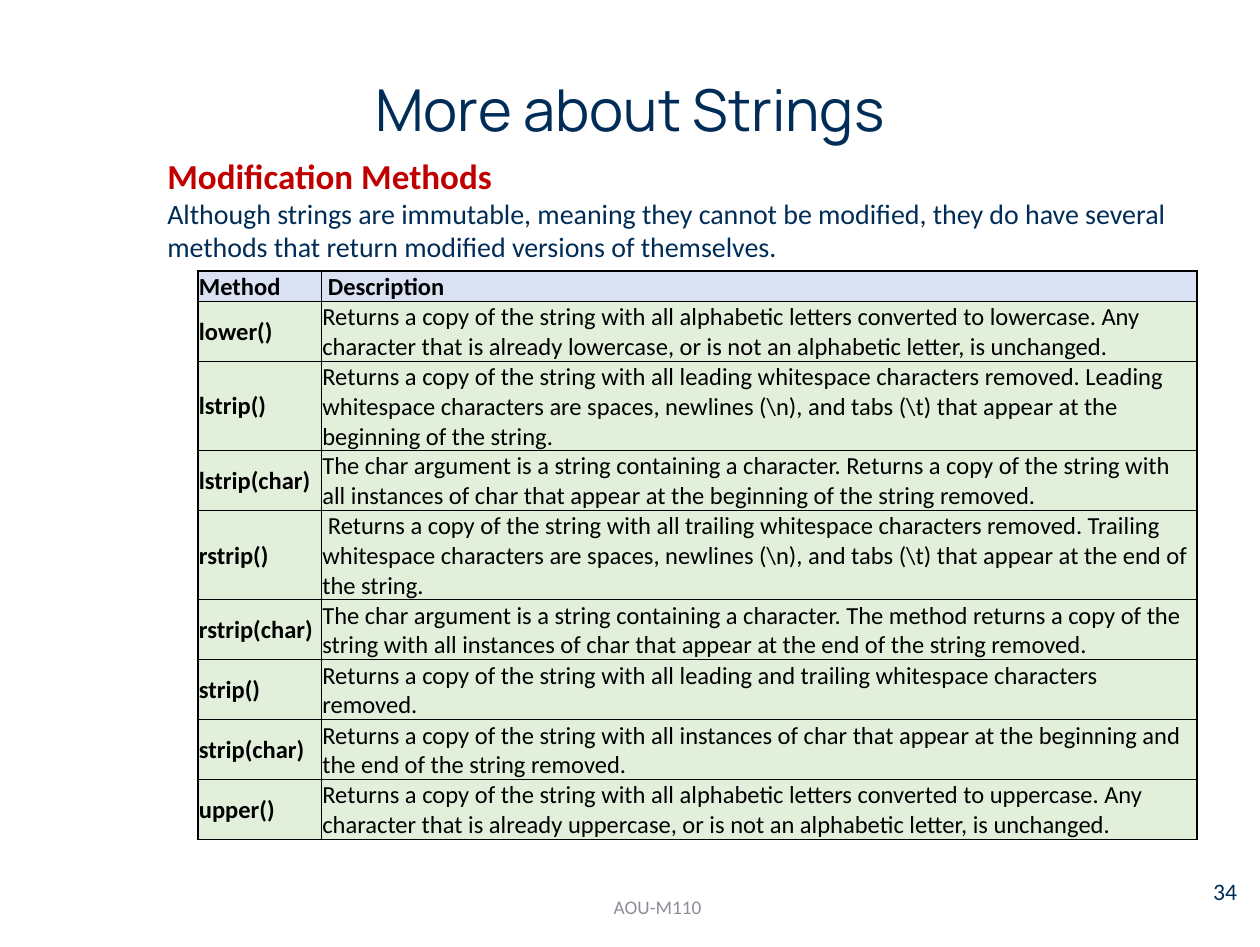
import dataclasses

import lxml.etree
import pptx
import pptx.dml.color
import pptx.enum.text
import pptx.oxml.ns
import pptx.util

Inches = pptx.util.Inches
Align = pptx.enum.text.PP_ALIGN
Anchor = pptx.enum.text.MSO_ANCHOR


@dataclasses.dataclass(frozen=True)
class Theme:
    title_font: str = "Manrope"
    body_font: str = "Calibri"
    navy: str = "002D58"
    red: str = "C00000"
    grey: str = "8C8F9A"
    black: str = "000000"
    header_fill: str = "D9E1F2"
    row_fill: str = "E2EFDA"
    title_size: float = 33
    heading_size: float = 20
    intro_size: float = 16
    table_size: float = 14
    number_size: float = 13.5
    footer_size: float = 11
    outer_line: float = 1
    inner_line: float = 0.5
    cell_margin: float = 0.6


METHODS = [
    ("Method", " Description"),
    ("lower()", "Returns a copy of the string with all alphabetic letters converted to lowercase. "
     "Any character that is already lowercase, or is not an alphabetic letter, is unchanged."),
    ("lstrip()", "Returns a copy of the string with all leading whitespace characters removed. "
     "Leading whitespace characters are spaces, newlines (\\n), and tabs (\\t) that appear "
     "at the beginning of the string."),
    ("lstrip(char)", "The char argument is a string containing a character. Returns a copy of "
     "the string with all instances of char that appear at the beginning of the string removed."),
    ("rstrip()", " Returns a copy of the string with all trailing whitespace characters removed. "
     "Trailing whitespace characters are spaces, newlines (\\n), and tabs (\\t) that appear "
     "at the end of the string."),
    ("rstrip(char)", "The char argument is a string containing a character. The method returns a "
     "copy of the string with all instances of char that appear at the end of the string removed."),
    ("strip()", "Returns a copy of the string with all leading and trailing whitespace "
     "characters removed."),
    ("strip(char)", "Returns a copy of the string with all instances of char that appear at the "
     "beginning and the end of the string removed."),
    ("upper()", "Returns a copy of the string with all alphabetic letters converted to uppercase. "
     "Any\vcharacter that is already uppercase, or is not an alphabetic letter, is unchanged."),
]
COLUMN_WIDTHS = [0.98, 6.95]
ROW_HEIGHTS = [0.22, 0.45, 0.67, 0.45, 0.67, 0.45, 0.39, 0.46, 0.46]


class SlideBuilder:
    """Holds the theme and the current slide."""

    def __init__(self, theme, slide):
        self.theme = theme
        self.slide = slide

    def style(self, frame, size, color, font=None, bold=False, align=Align.LEFT):
        for paragraph in frame.paragraphs:
            paragraph.alignment = align
            for run in paragraph.runs:
                run.font.name = font or self.theme.body_font
                run.font.size = pptx.util.Pt(size)
                run.font.bold = bold
                run.font.color.rgb = pptx.dml.color.RGBColor.from_string(color)

    def title(self, text, left, top, width, height):
        title = self.slide.shapes.title
        title.left, title.top = Inches(left), Inches(top)
        title.width, title.height = Inches(width), Inches(height)
        frame = title.text_frame
        frame.text = text
        frame.vertical_anchor = Anchor.MIDDLE
        frame.paragraphs[0].line_spacing = 0.9
        self.style(frame, self.theme.title_size, self.theme.navy,
                   font=self.theme.title_font, align=Align.CENTER)

    def text(self, text, left, top, width, height, size, color,
             bold=False, align=Align.LEFT, anchor=Anchor.TOP):
        frame = self.slide.shapes.add_textbox(
            Inches(left), Inches(top), Inches(width), Inches(height)).text_frame
        frame.word_wrap = True
        frame.vertical_anchor = anchor
        frame.text = text
        self.style(frame, size, color, bold=bold, align=align)

    def border(self, cell, side, points):
        properties = cell._tc.get_or_add_tcPr()
        qn = pptx.oxml.ns.qn
        line = lxml.etree.SubElement(properties, qn(f"a:ln{side}"), w=str(pptx.util.Pt(points)))
        fill = lxml.etree.SubElement(line, qn("a:solidFill"))
        lxml.etree.SubElement(fill, qn("a:srgbClr"), val=self.theme.black)

    def table(self, rows, left, top, widths, heights):
        theme = self.theme
        table = self.slide.shapes.add_table(
            len(rows), len(widths), Inches(left), Inches(top),
            Inches(sum(widths)), Inches(sum(heights))).table
        for column, width in zip(table.columns, widths):
            column.width = Inches(width)
        margin = pptx.util.Pt(theme.cell_margin)
        last_row, last_column = len(rows) - 1, len(widths) - 1
        for r, (texts, height) in enumerate(zip(rows, heights)):
            table.rows[r].height = Inches(height)
            for c, text in enumerate(texts):
                cell = table.cell(r, c)
                cell.margin_left = cell.margin_right = cell.margin_top = margin
                cell.margin_bottom = 0
                cell.vertical_anchor = Anchor.MIDDLE
                cell.text_frame.text = text
                self.style(cell.text_frame, theme.table_size, theme.black,
                           bold=r == 0 or c == 0)
                # Thicker lines run round the outside of the table
                outer = {"L": c == 0, "R": c == last_column, "T": r == 0, "B": r == last_row}
                for side, is_outer in outer.items():
                    self.border(cell, side, theme.outer_line if is_outer else theme.inner_line)
                cell.fill.solid()
                cell.fill.fore_color.rgb = pptx.dml.color.RGBColor.from_string(
                    theme.header_fill if r == 0 else theme.row_fill)


def main():
    theme = Theme()
    deck = pptx.Presentation()
    deck.slide_width, deck.slide_height = Inches(10), pptx.util.Pt(541.25)
    page = SlideBuilder(theme, deck.slides.add_slide(deck.slide_layouts[5]))

    # Title
    page.title("More about Strings", 0.69, 0.4, 8.62, 0.99)

    # Footer and page number
    page.text("AOU-M110", 2.37, 7, 5.7, 0.4, theme.footer_size, theme.grey,
              align=Align.CENTER, anchor=Anchor.MIDDLE)
    page.text("34", 9.53, 6.91, 0.47, 0.4, theme.number_size, theme.navy)

    # Heading and introduction
    page.text("Modification Methods", 1.23, 1.18, 5, 0.44,
              theme.heading_size, theme.red, bold=True)
    page.text("Although strings are immutable, meaning they cannot be modified, they do have "
              "several methods that return modified versions of themselves.",
              1.23, 1.51, 8.27, 0.64, theme.intro_size, theme.navy)

    # Method table
    page.table(METHODS, 1.57, 2.15, COLUMN_WIDTHS, ROW_HEIGHTS)

    deck.save("out.pptx")


if __name__ == "__main__":
    main()
